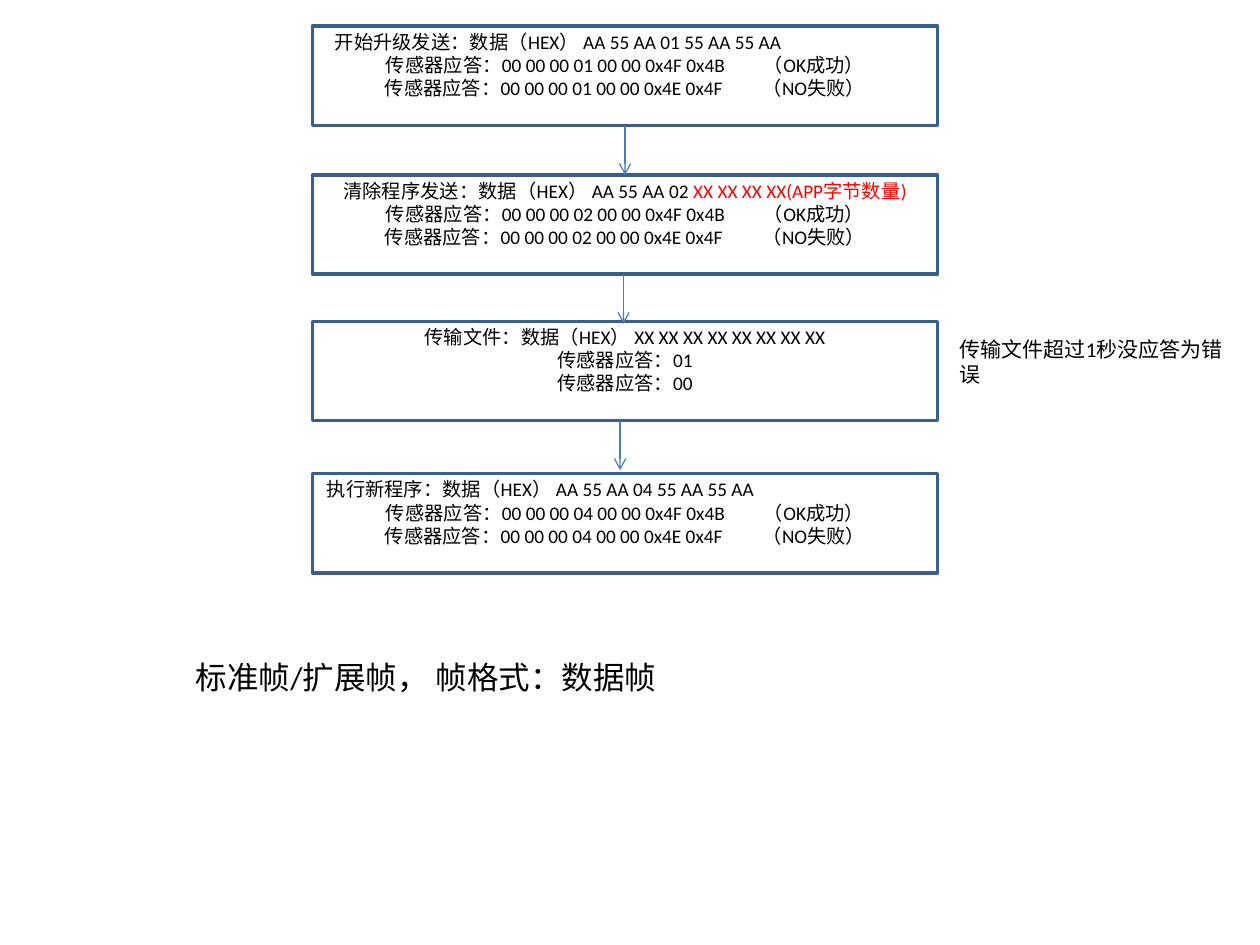
from lxml.etree import SubElement
from pptx import Presentation
from pptx.dml.color import RGBColor
from pptx.enum.shapes import MSO_CONNECTOR, MSO_SHAPE
from pptx.enum.text import MSO_ANCHOR, MSO_AUTO_SIZE, PP_ALIGN
from pptx.oxml.ns import qn
from pptx.util import Cm, Pt


def colour(value):
    return RGBColor.from_string(value)


class FlowSlide:
    font_name = "Calibri"
    ink, accent, paper = "000000", "FF0000", "FFFFFF"
    border, arrow_ink = "3A5F8C", "4B7EBC"

    def __init__(self, slide):
        self.shapes = slide.shapes

    def style(self, paragraph, size):
        paragraph.font.name = self.font_name
        paragraph.font.size = Pt(size)

    def add_words(self, paragraph, text, ink):
        run = paragraph.add_run()
        run.text = text
        run.font.color.rgb = colour(ink)

    def step(self, top, command, parameter, replies, indent):
        box = self.shapes.add_shape(
            MSO_SHAPE.RECTANGLE, Cm(BOX_LEFT), Cm(top), Cm(BOX_WIDTH), Cm(BOX_HEIGHT))
        box.shadow.inherit = False
        box.fill.solid()
        box.fill.fore_color.rgb = colour(self.paper)
        box.line.color.rgb = colour(self.border)
        box.line.width = Pt(2)
        frame = box.text_frame
        frame.word_wrap = True
        frame.vertical_anchor = MSO_ANCHOR.TOP
        frame.margin_top = Cm(0.08)
        for index, text in enumerate([command, *replies]):
            paragraph = frame.add_paragraph() if index else frame.paragraphs[0]
            paragraph.alignment = PP_ALIGN.CENTER
            self.style(paragraph, 11)
            self.add_words(paragraph, text, self.ink)
        opening = frame.paragraphs[0]
        if parameter:
            self.add_words(opening, parameter, self.accent)
        if indent is not None:
            opening.alignment = PP_ALIGN.LEFT
            opening._p.get_or_add_pPr().set("marL", str(Cm(indent)))

    def arrow(self, x, top, length):
        link = self.shapes.add_connector(
            MSO_CONNECTOR.STRAIGHT, Cm(x), Cm(top), Cm(x), Cm(top + length))
        link.line.color.rgb = colour(self.arrow_ink)
        link.line.width = Pt(0.75)
        properties = link._element.spPr
        SubElement(properties.find(qn("a:ln")), qn("a:tailEnd"), type="arrow")
        SubElement(properties, qn("a:effectLst"))

    def note(self, left, top, width, height, text, size):
        box = self.shapes.add_textbox(Cm(left), Cm(top), Cm(width), Cm(height))
        frame = box.text_frame
        frame.word_wrap = True
        frame.auto_size = MSO_AUTO_SIZE.SHAPE_TO_FIT_TEXT
        paragraph = frame.paragraphs[0]
        self.style(paragraph, size)
        self.add_words(paragraph, text, self.ink)


def status_replies(code):
    return [f"传感器应答：00 00 00 {code} 00 00 0x4F 0x4B\t（OK成功）",
            f"传感器应答：00 00 00 {code} 00 00 0x4E 0x4F\t（NO失败）"]


BOX_LEFT, BOX_WIDTH, BOX_HEIGHT = 6.3, 12.6, 2

STEPS = [
    (0.53, "开始升级发送：数据（HEX） AA 55 AA 01 55 AA 55 AA", "",
     status_replies("01"), 0.2),
    (3.53, "清除程序发送：数据（HEX） AA 55 AA 02 ", "XX XX XX XX(APP字节数量)",
     status_replies("02"), None),
    (6.48, "传输文件：数据（HEX） XX XX XX XX XX XX XX XX", "",
     ["传感器应答：01", "传感器应答：00"], None),
    (9.55, "执行新程序：数据（HEX） AA 55 AA 04 55 AA 55 AA", "",
     status_replies("04"), 0.04),
]
ARROW_CENTRES = [12.6, 12.57, 12.5]

presentation = Presentation()
presentation.slide_width = Cm(25.4)
presentation.slide_height = Cm(19.05)
flow = FlowSlide(presentation.slides.add_slide(presentation.slide_layouts[6]))

for step in STEPS:
    flow.step(*step)
for x, step in zip(ARROW_CENTRES, STEPS):
    flow.arrow(x, step[0] + BOX_HEIGHT, 1)

flow.note(19.1, 6.65, 5.8, 1.28, "传输文件超过1秒没应答为错误", 12)
flow.note(3.7, 13.14, 18.6, 1.03, "标准帧/扩展帧， 帧格式：数据帧", 18)

presentation.save("out.pptx")
